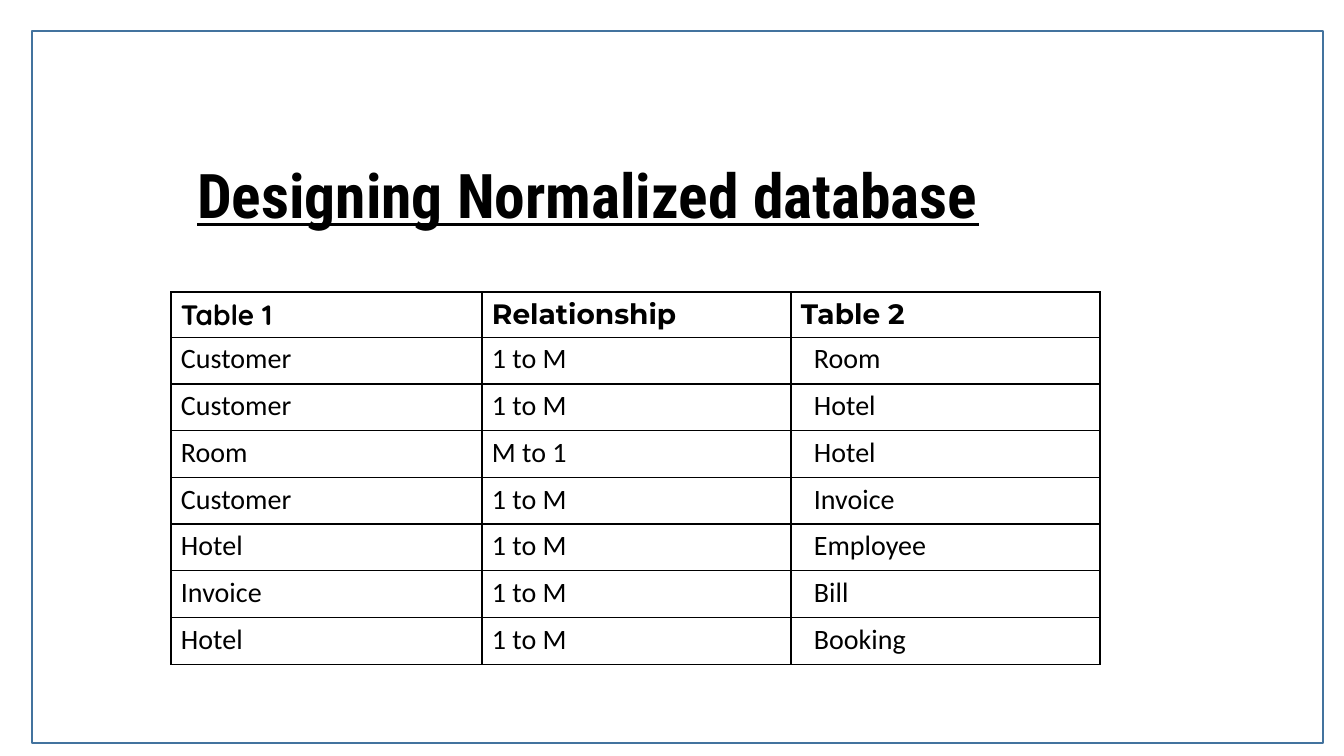
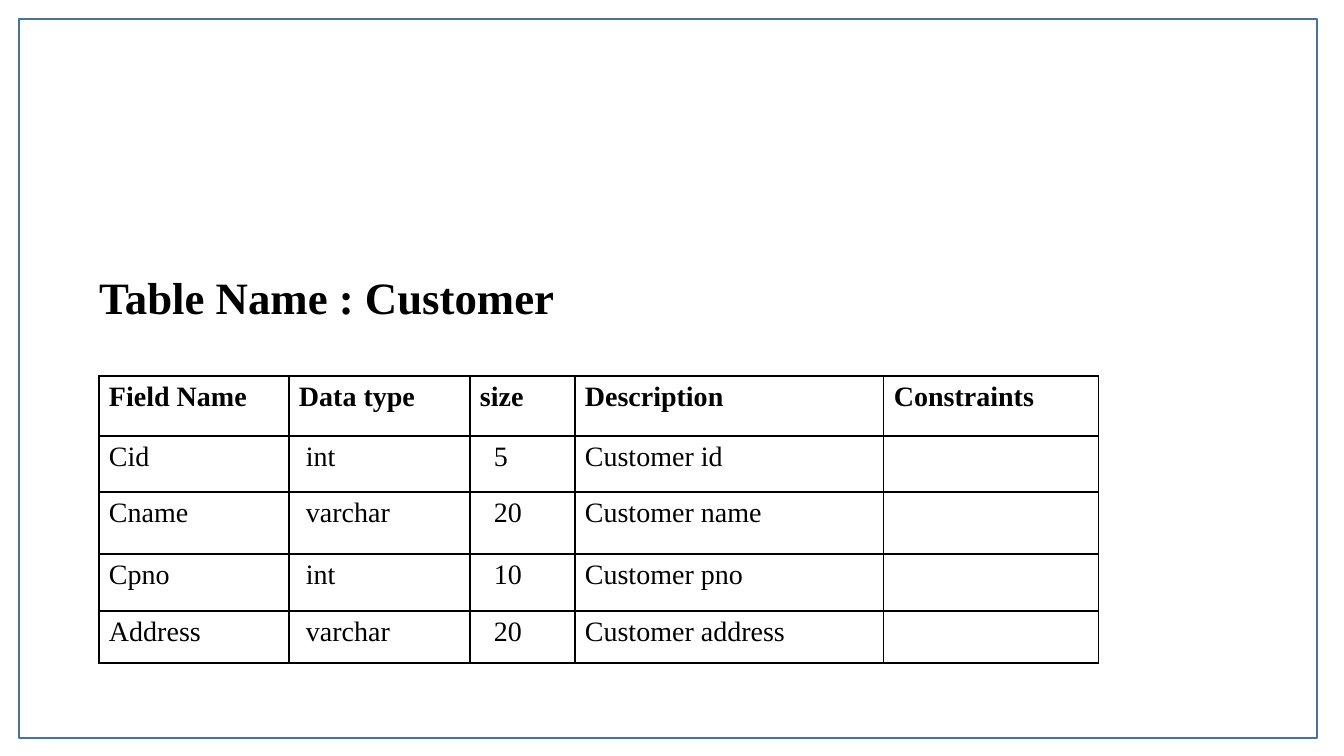
from lxml import etree
from pptx import Presentation
from pptx.dml.color import RGBColor
from pptx.enum.shapes import MSO_SHAPE
from pptx.enum.text import MSO_ANCHOR, MSO_AUTO_SIZE, PP_ALIGN
from pptx.oxml.ns import qn
from pptx.util import Emu, Pt

RECT = MSO_SHAPE.RECTANGLE
MIDDLE = MSO_ANCHOR.MIDDLE
NO_FIT = MSO_AUTO_SIZE.NONE
LEFT = PP_ALIGN.LEFT
BLACK = RGBColor(0x00, 0x00, 0x00)
BLUE = RGBColor(0x43, 0x73, 0x9E)
TIMES = "Times New Roman"
INSET = 10  # text margin at the left of a cell
TITLE_ONLY = 5


def px(num):
    return Emu(round(num * 914400 / 100.8))


def style(para, face, size, bold):
    font = para.font
    font.name, font.size, font.bold = face, Pt(size), bold
    font.color.rgb = BLACK


# Content: boxes are left, top, width, height
pages = [
    {
        "title": "Designing Normalized database",
        "title_box": (187, 138, 887, 121),
        "title_font": ("Roboto Condensed", 44),
        "line": True,
        "place": (171, 292),
        "cols": [311, 309, 309],
        "rows": [43] + [327 / 7] * 7,
        "heads": ["Quicksand", "Montserrat", "Montserrat"],
        "body": "Calibri",
        "shift": [0, 0, 13],
        "cells": [
            ["Table 1", "Relationship", "Table 2"],
            ["Customer", "1 to M", "Room"],
            ["Customer", "1 to M", "Hotel"],
            ["Room", "M to 1", "Hotel"],
            ["Customer", "1 to M", "Invoice"],
            ["Hotel", "1 to M", "Employee"],
            ["Invoice", "1 to M", "Bill"],
            ["Hotel", "1 to M", "Booking"],
        ],
        "frame": (32, 31, 1291, 712),
    },
    {
        "title": "Table Name : Customer",
        "title_box": (89, 250, 1000, 100),
        "title_font": (TIMES, 32),
        "line": False,
        "place": (99, 376),
        "cols": [190, 181, 105, 309, 215],
        "rows": [60, 56, 62, 57, 52],
        "heads": [TIMES] * 5,
        "body": TIMES,
        "shift": [0, 7, 14, 0, 0],
        "cells": [
            ["Field Name", "Data type", "size", "Description", "Constraints"],
            ["Cid", "int", "5", "Customer id", ""],
            ["Cname", "varchar", "20", "Customer name", ""],
            ["Cpno", "int", "10", "Customer pno", ""],
            ["Address", "varchar", "20", "Customer address", ""],
        ],
        "frame": (19, 19, 1298, 719),
    },
]

deck = Presentation()
deck.slide_width, deck.slide_height = px(1344), px(756)

for page in pages:
    slide = deck.slides.add_slide(deck.slide_layouts[TITLE_ONLY])

    # Title
    title = slide.shapes.title
    title.left, title.top, title.width, title.height = map(px, page["title_box"])
    frame = title.text_frame
    frame.text = page["title"]
    frame.auto_size = NO_FIT
    frame.vertical_anchor = MIDDLE
    para = frame.paragraphs[0]
    para.alignment = LEFT
    para.line_spacing = 0.9
    style(para, *page["title_font"], True)
    para.font.underline = page["line"]

    # Table
    cols, rows = page["cols"], page["rows"]
    size = (sum(cols), sum(rows))
    grid = slide.shapes.add_table(
        len(rows), len(cols), *map(px, page["place"] + size)).table
    grid.first_row = grid.horz_banding = False
    for col, width in zip(grid.columns, cols):
        col.width = px(width)
    for row, height in zip(grid.rows, rows):
        row.height = px(height)

    for r, texts in enumerate(page["cells"]):
        head = r == 0
        for c, text in enumerate(texts):
            cell = grid.cell(r, c)
            cell.text = text
            cell.fill.background()
            cell.margin_left = px(INSET + (0 if head else page["shift"][c]))
            face = page["heads"][c] if head else page["body"]
            style(cell.text_frame.paragraphs[0], face, 20, head)

            # Cell borders go before the fill
            props = cell._tc.get_or_add_tcPr()
            for i, side in enumerate(("lnL", "lnR", "lnT", "lnB")):
                edge = etree.Element(qn("a:" + side), w=str(Pt(1)))
                fill = etree.SubElement(edge, qn("a:solidFill"))
                etree.SubElement(fill, qn("a:srgbClr"), val=str(BLACK))
                props.insert(i, edge)

    # Page frame
    border = slide.shapes.add_shape(RECT, *map(px, page["frame"]))
    border.shadow.inherit = False
    border.fill.background()
    border.line.color.rgb = BLUE
    border.line.width = Pt(1)

deck.save("out.pptx")
